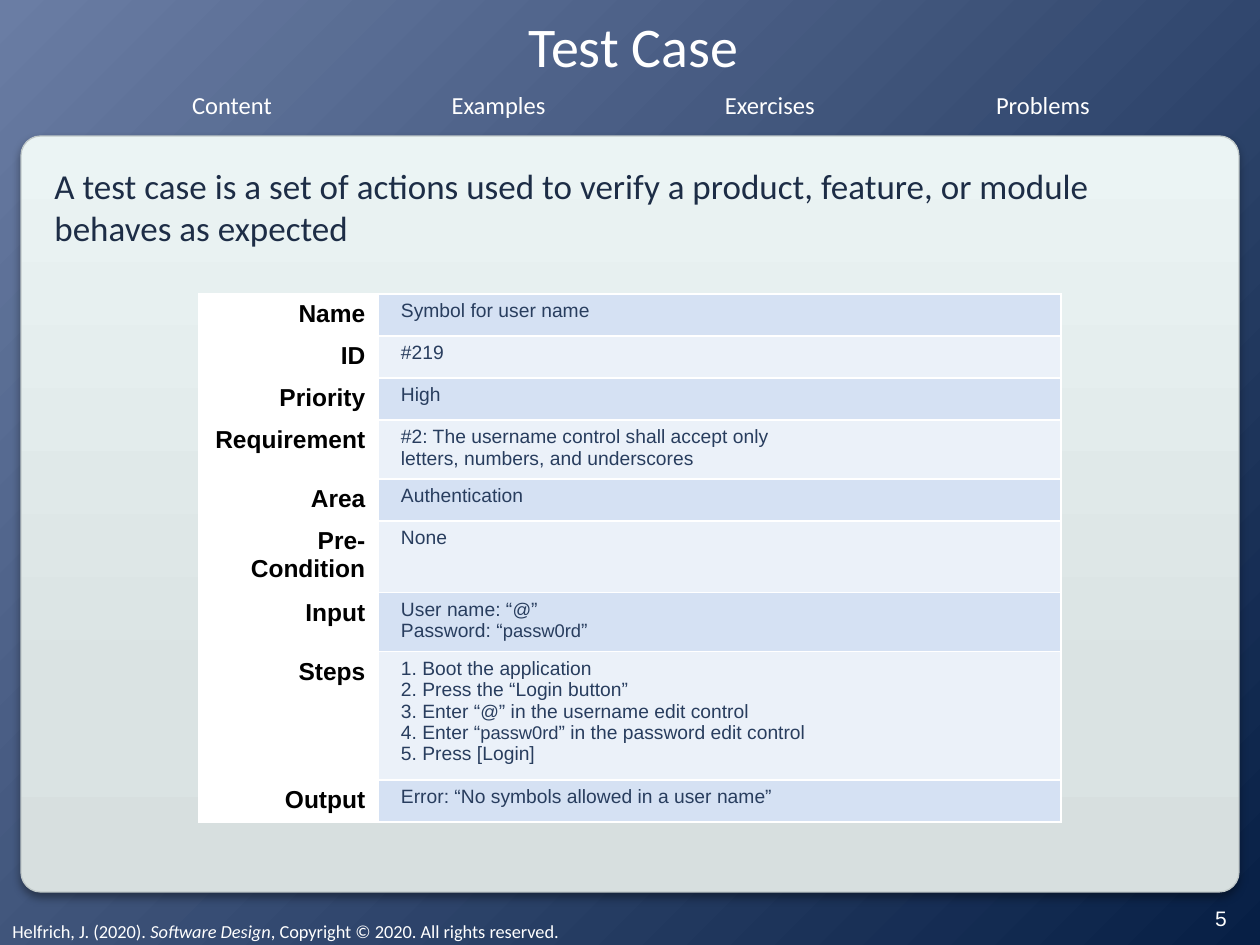
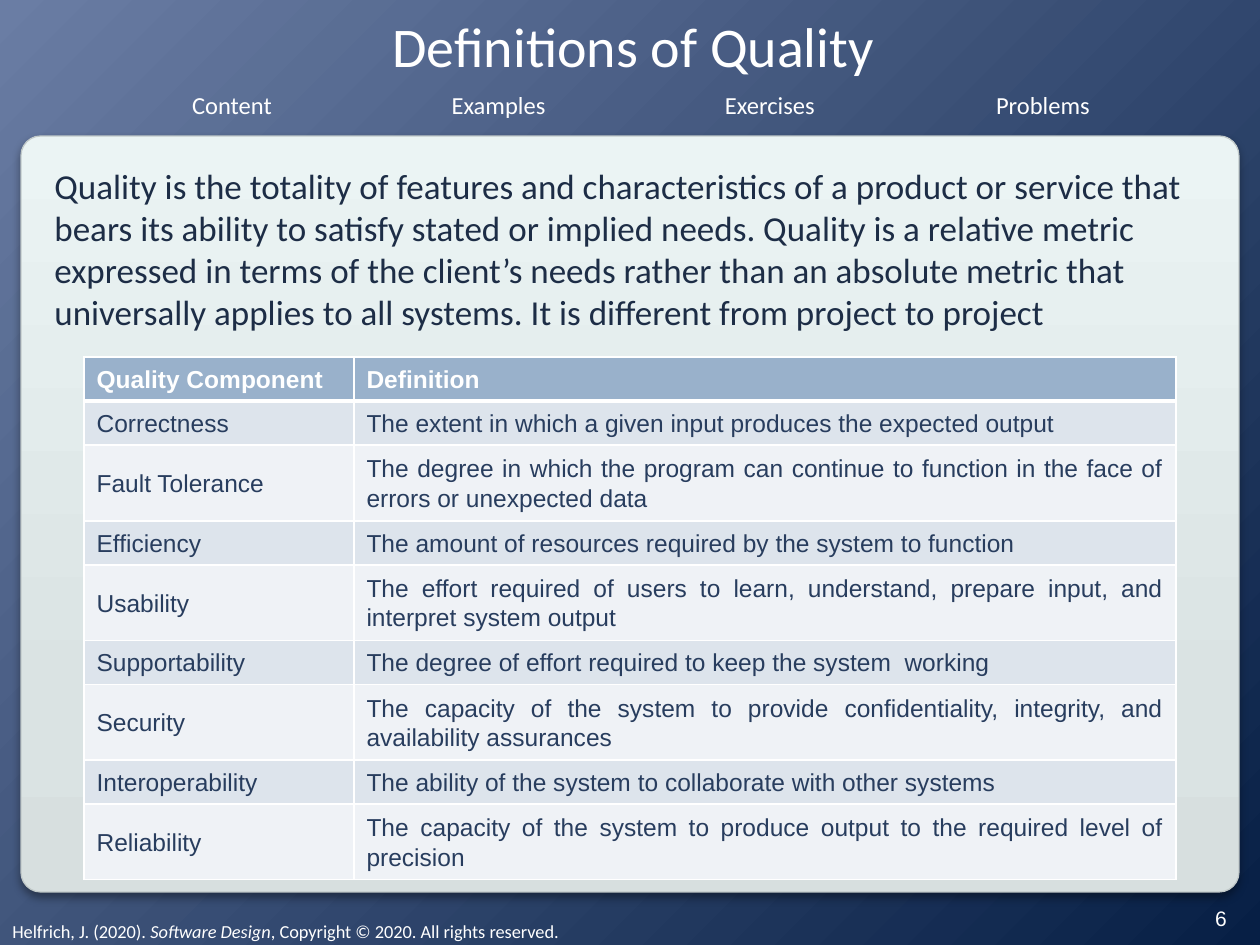
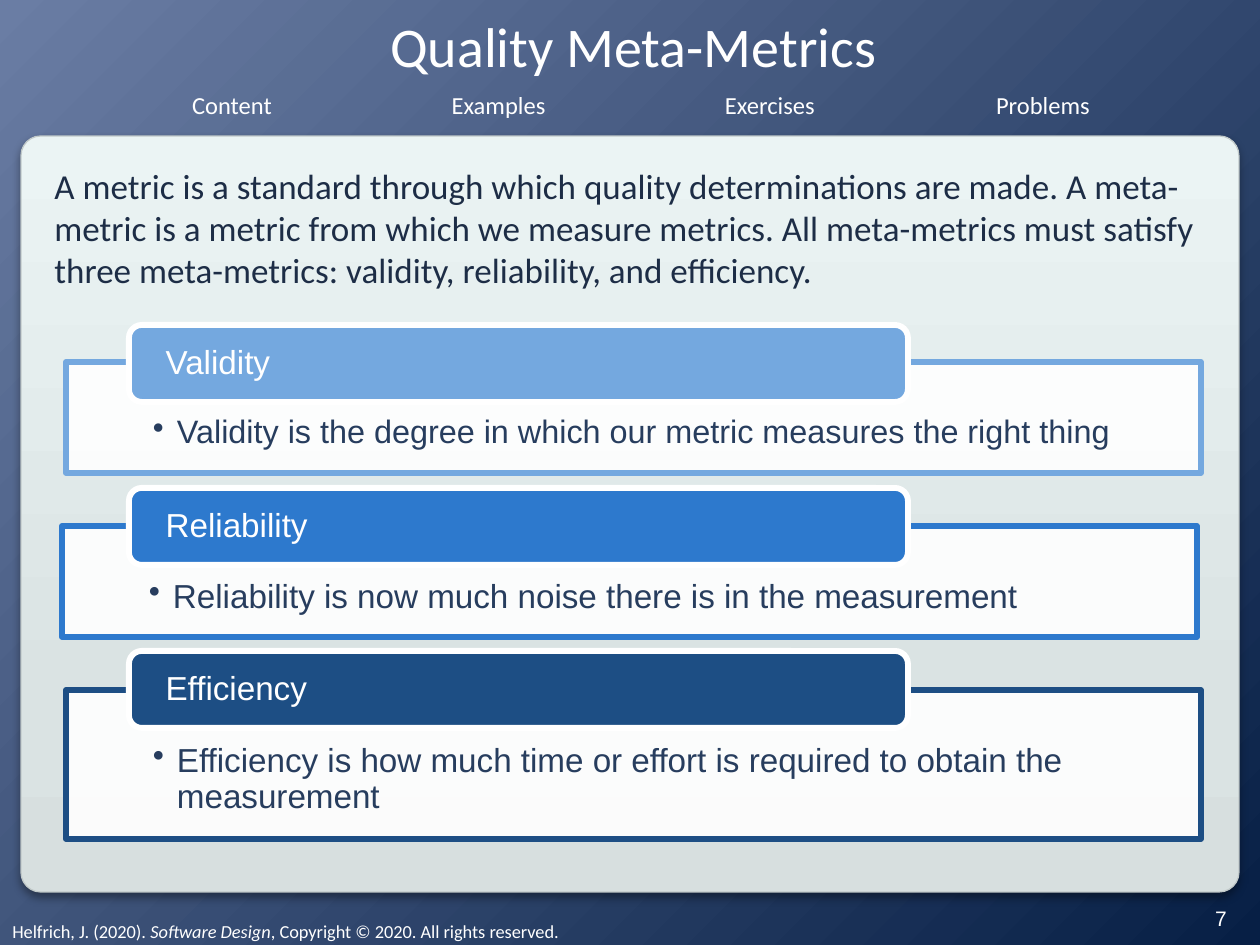
"""Build three lecture slides on test cases and software quality."""
from lxml.etree import SubElement
from pptx import Presentation
from pptx.dml.color import RGBColor
from pptx.enum.shapes import MSO_SHAPE as Shape
from pptx.enum.text import MSO_ANCHOR as Anchor, MSO_AUTO_SIZE as AutoSize, PP_ALIGN as Align
from pptx.oxml import parse_xml
from pptx.oxml.ns import nsdecls, qn
from pptx.util import Emu, Pt

WHITE = RGBColor(0xFF, 0xFF, 0xFF)
BLACK = RGBColor(0x00, 0x00, 0x00)
BACK_LIGHT = RGBColor(0x6A, 0x7D, 0xA4)
BACK_DARK = RGBColor(0x07, 0x1F, 0x45)
PANEL_LOW = RGBColor(0xD7, 0xDF, 0xDF)
PANEL_MIDDLE = RGBColor(0xDA, 0xE3, 0xE3)
PANEL_HIGH = RGBColor(0xEB, 0xF4, 0xF4)
PANEL_EDGE = RGBColor(0xC1, 0xC9, 0xC9)
BODY_INK = RGBColor(0x1D, 0x2D, 0x46)
TABLE_INK = RGBColor(0x28, 0x3D, 0x5E)
BOX_INK = RGBColor(0x27, 0x3D, 0x5E)
CASE_BANDS = (RGBColor(0xD5, 0xE1, 0xF3), RGBColor(0xEB, 0xF1, 0xF9))
QUALITY_HEAD = RGBColor(0x99, 0xB1, 0xCB)
QUALITY_BANDS = (RGBColor(0xDD, 0xE4, 0xEC), RGBColor(0xEF, 0xF2, 0xF6))
SKY = RGBColor(0x74, 0xA8, 0xDF)
AZURE = RGBColor(0x2D, 0x79, 0xCD)
NAVY = RGBColor(0x1D, 0x4E, 0x84)

EMU_PER_INCH, PX_PER_INCH = 914400, 126
SLIDE_SIZE = (1260, 945)
NAVIGATION = (("Content", 179, 106), ("Examples", 438, 121),
              ("Exercises", 712, 116), ("Problems", 983, 120))
FOOTER = "Helfrich, J. (2020). |Software Design|, Copyright © 2020. All rights reserved."

TEST_CASE = (
    ("Name", "Symbol for user name", 35),
    ("ID", "#219", 35),
    ("Priority", "High", 35),
    ("Requirement", "#2: The username control shall accept only\nletters, numbers, and underscores", 57),
    ("Area", "Authentication", 35),
    ("Pre-Condition", "None", 35),
    ("Input", "User name: “|@|”\nPassword: “|passw0rd|”", 57),
    ("Steps", "1. Boot the application\n2. Press the “Login button”\n"
              "3. Enter “|@|” in the username edit control\n"
              "4. Enter “|passw0rd|” in the password edit control\n5. Press [Login]", 122),
    ("Output", "Error: “No symbols allowed in a user name”", 35),
)
QUALITY = (
    ("Quality Component", "Definition"),
    ("Correctness", "The extent in which a given input produces the expected output"),
    ("Fault Tolerance", "The degree in which the program can continue to function in the face of "
                        "errors or unexpected data"),
    ("Efficiency", "The amount of resources required by the system to function"),
    ("Usability", "The effort required of users to learn, understand, prepare input, and "
                  "interpret system output"),
    ("Supportability", "The degree of effort required to keep the system  working"),
    ("Security", "The capacity of the system to provide confidentiality, integrity, and "
                 "availability assurances"),
    ("Interoperability", "The ability of the system to collaborate with other systems"),
    ("Reliability", "The capacity of the system to produce output to the required level of precision"),
)
META_METRICS = (
    ("Validity", "Validity is the degree in which our metric measures the right thing",
     SKY, (66, 362, 1135, 111), 18.5),
    ("Reliability", "Reliability is now much noise there is in the measurement",
     AZURE, (62, 526, 1135, 111), 19),
    ("Efficiency", "Efficiency is how much time or effort is required to obtain the measurement",
     NAVY, (66, 690, 1135, 149), 19),
)


def px(length):
    """Turn px into EMU."""
    return Emu(round(length * EMU_PER_INCH / PX_PER_INCH))


def gradient(stops, direction):
    """Return a gradient fill element from (percent, colour) stops."""
    listed = "".join(f'<a:gs pos="{percent * 1000}"><a:srgbClr val="{color}"/></a:gs>'
                     for percent, color in stops)
    return parse_xml(f'<a:gradFill {nsdecls("a")} rotWithShape="1"><a:gsLst>{listed}</a:gsLst>'
                     f'{direction}</a:gradFill>')


def add_bullet(paragraph, color, indent):
    """Give a second-level paragraph a hanging round bullet."""
    paragraph.level = 1
    properties = paragraph._p.get_or_add_pPr()
    properties.set("marL", str(px(indent)))
    properties.set("indent", str(-px(indent)))
    SubElement(SubElement(properties, qn("a:buClr")), qn("a:srgbClr"), val=str(color))
    SubElement(properties, qn("a:buChar"), char="•")


def write(frame, text, *, size, color, font="Arial", bold=False, align=Align.LEFT, anchor=None,
          margins=None, wrap=None, spacing=None, bullet=False, accent=None):
    """Fill a frame; new lines start paragraphs and bars enclose accented runs."""
    if anchor is not None:
        frame.vertical_anchor = anchor
    if wrap is not None:
        frame.word_wrap = wrap
    if margins:
        (frame.margin_left, frame.margin_top,
         frame.margin_right, frame.margin_bottom) = map(px, margins)
    for index, line in enumerate(text.split("\n")):
        paragraph = frame.add_paragraph() if index else frame.paragraphs[0]
        paragraph.alignment = align
        if spacing:
            paragraph.line_spacing = spacing
        if bullet:
            add_bullet(paragraph, color, 24)
        for position, piece in enumerate(line.split("|")):
            style = (accent or {}) if position % 2 else {}
            run = paragraph.add_run()
            run.text = piece
            run.font.name = font
            run.font.size = Pt(style.get("size", size))
            run.font.bold = bold
            run.font.italic = style.get("italic", False)
            run.font.color.rgb = color


class Deck:
    """Hold the shared style and the current slide."""

    def __init__(self):
        """Start a presentation with the shared background on its layout."""
        self.presentation = Presentation()
        self.presentation.slide_width, self.presentation.slide_height = map(px, SLIDE_SIZE)
        self.layout = self.presentation.slide_layouts[5]
        self.slide = None
        background = parse_xml(f'<p:bg {nsdecls("p", "a")}><p:bgPr><a:effectLst/></p:bgPr></p:bg>')
        background[0].insert(0, gradient(
            ((0, BACK_LIGHT), (100, BACK_DARK)),
            '<a:path path="circle"><a:fillToRect r="100000" b="100000"/></a:path>'))
        self.layout.element.cSld.insert(0, background)

    def start_slide(self, title, number, body, body_height):
        """Add a slide with its title, panel, navigation, footer and lead text."""
        self.slide = self.presentation.slides.add_slide(self.layout)
        self.title(title)
        self.panel()
        self.text((0, 914, 1134, 31), FOOTER, size=10.5, color=WHITE, font="Calibri",
                  accent={"italic": True})
        for label, left, width in NAVIGATION:
            self.text((left, 84, width, 43), label, size=14, color=WHITE, font="Calibri",
                      align=Align.CENTER, wrap=False)
        self.text((42, 158, 1176, body_height), body, size=20, color=BODY_INK, font="Calibri")
        self.text((1182, 892, 78, 53), str(number), size=12, color=WHITE,
                  align=Align.CENTER, anchor=Anchor.MIDDLE)

    def title(self, text):
        """Place and format the title placeholder."""
        title = self.slide.shapes.title
        title.left, title.top, title.width, title.height = map(px, (28, 14, 1211, 63))
        title.text_frame.auto_size = AutoSize.NONE
        write(title.text_frame, text, size=32, color=WHITE, font="Calibri", align=Align.CENTER,
              anchor=Anchor.MIDDLE, margins=(0, 0, 0, 0))

    def text(self, place, text, *, wrap=True, **style):
        """Add a text box."""
        box = self.slide.shapes.add_textbox(*map(px, place))
        write(box.text_frame, text, wrap=wrap, **style)

    def shape(self, kind, place, fill, line, line_width):
        """Add a preset shape without a shadow."""
        shape = self.slide.shapes.add_shape(kind, *map(px, place))
        shape.shadow.inherit = False
        shape.fill.solid()
        shape.fill.fore_color.rgb = fill
        shape.line.color.rgb = line
        shape.line.width = Pt(line_width)
        return shape

    def panel(self):
        """Add the rounded content panel with its gradient and soft shadow."""
        panel = self.shape(Shape.ROUNDED_RECTANGLE, (21, 136, 1218, 756),
                           PANEL_HIGH, PANEL_EDGE, 0.75)
        panel.adjustments[0] = 0.026
        properties = panel.element.spPr
        stops = ((0, PANEL_LOW), (25, PANEL_MIDDLE), (100, PANEL_HIGH))
        properties.replace(properties.find(qn("a:solidFill")),
                           gradient(stops, '<a:lin ang="16200000" scaled="0"/>'))
        shadow = SubElement(properties.find(qn("a:effectLst")), qn("a:outerShdw"),
                            blurRad=str(Pt(5.2)), dist=str(Pt(3)), dir="5400000", rotWithShape="0")
        color = SubElement(shadow, qn("a:srgbClr"), val=str(BLACK))
        SubElement(color, qn("a:alpha"), val="40000")

    def table(self, left, top, widths, heights):
        """Add a table with plain style and return it."""
        place = map(px, (left, top, sum(widths), sum(heights)))
        table = self.slide.shapes.add_table(len(heights), len(widths), *place).table
        table.first_row = table.horz_banding = False
        for column, width in zip(table.columns, widths):
            column.width = px(width)
        for row, height in zip(table.rows, heights):
            row.height = px(height)
        return table

    def cell(self, cell, text, fill, *, bottom=1, **style):
        """Fill a table cell and give it white borders."""
        cell.fill.solid()
        cell.fill.fore_color.rgb = fill
        write(cell.text_frame, text, **style)
        properties = cell._tc.get_or_add_tcPr()
        for index, (side, width) in enumerate((("L", 1), ("R", 1), ("T", 1), ("B", bottom))):
            properties.insert(index, parse_xml(
                f'<a:ln{side} {nsdecls("a")} w="{Pt(width)}"><a:solidFill>'
                f'<a:srgbClr val="{WHITE}"/></a:solidFill></a:ln{side}>'))

    def metric(self, name, definition, color, place, size, tab_top):
        """Add a definition box with its name tab on the upper edge."""
        box = self.shape(Shape.RECTANGLE, place, WHITE, color, 3.35)
        box_color = box.element.spPr.find(qn("a:solidFill"))[0]
        SubElement(box_color, qn("a:alpha"), val="90000")
        write(box.text_frame, definition, size=size, color=BOX_INK, anchor=Anchor.TOP,
              margins=(87, 54, 87, 19), spacing=0.9, bullet=True)
        tab = self.shape(Shape.ROUNDED_RECTANGLE, (129, tab_top, 779, 77), color, WHITE, 3.35)
        write(tab.text_frame, name, size=19, color=WHITE, anchor=Anchor.MIDDLE,
              margins=(33, 4, 33, 4), spacing=0.9)


def add_test_case(deck):
    """Add the test case slide."""
    deck.start_slide("Test Case", 5, "A test case is a set of actions used to verify a product, "
                     "feature, or module behaves as expected", 95)
    table = deck.table(199, 294, (179, 683), [height for *_, height in TEST_CASE])
    for row, (label, value, _) in enumerate(TEST_CASE):
        deck.cell(table.cell(row, 0), label, WHITE, size=14, color=BLACK, bold=True,
                  align=Align.RIGHT)
        value_cell = table.cell(row, 1)
        value_cell.margin_left = px(23)
        deck.cell(value_cell, value, CASE_BANDS[row % 2], size=11, color=TABLE_INK,
                  accent={"size": 10.5})


def add_quality(deck):
    """Add the quality definitions slide."""
    deck.start_slide("Definitions of Quality", 6,
                     "Quality is the totality of features and characteristics of a product or "
                     "service that bears its ability to satisfy stated or implied needs. Quality "
                     "is a relative metric expressed in terms of the client’s needs rather than "
                     "an absolute metric that universally applies to all systems. It is different "
                     "from project to project", 199)
    table = deck.table(84, 357, (270, 822), [24] * len(QUALITY))
    header = {"fill": QUALITY_HEAD, "color": WHITE, "bold": True, "bottom": 3}
    for row, entry in enumerate(QUALITY):
        style = header if row == 0 else {"fill": QUALITY_BANDS[(row - 1) % 2],
                                         "color": TABLE_INK, "align": Align.JUSTIFY}
        for column, text in enumerate(entry):
            cell = table.cell(row, column)
            cell.vertical_anchor = Anchor.MIDDLE
            deck.cell(cell, text, size=14, spacing=1.07, **style)


def add_meta_metrics(deck):
    """Add the meta-metrics slide."""
    deck.start_slide("Quality Meta-Metrics", 7,
                     "A metric is a standard through which quality determinations are made. "
                     "A meta-metric is a metric from which we measure metrics. All meta-metrics "
                     "must satisfy three meta-metrics: validity, reliability, and efficiency.", 147)
    for index, metric in enumerate(META_METRICS):
        deck.metric(*metric, tab_top=325 + 163 * index)


def main():
    """Build and save the presentation."""
    deck = Deck()
    add_test_case(deck)
    add_quality(deck)
    add_meta_metrics(deck)
    deck.presentation.save("out.pptx")


if __name__ == "__main__":
    main()
